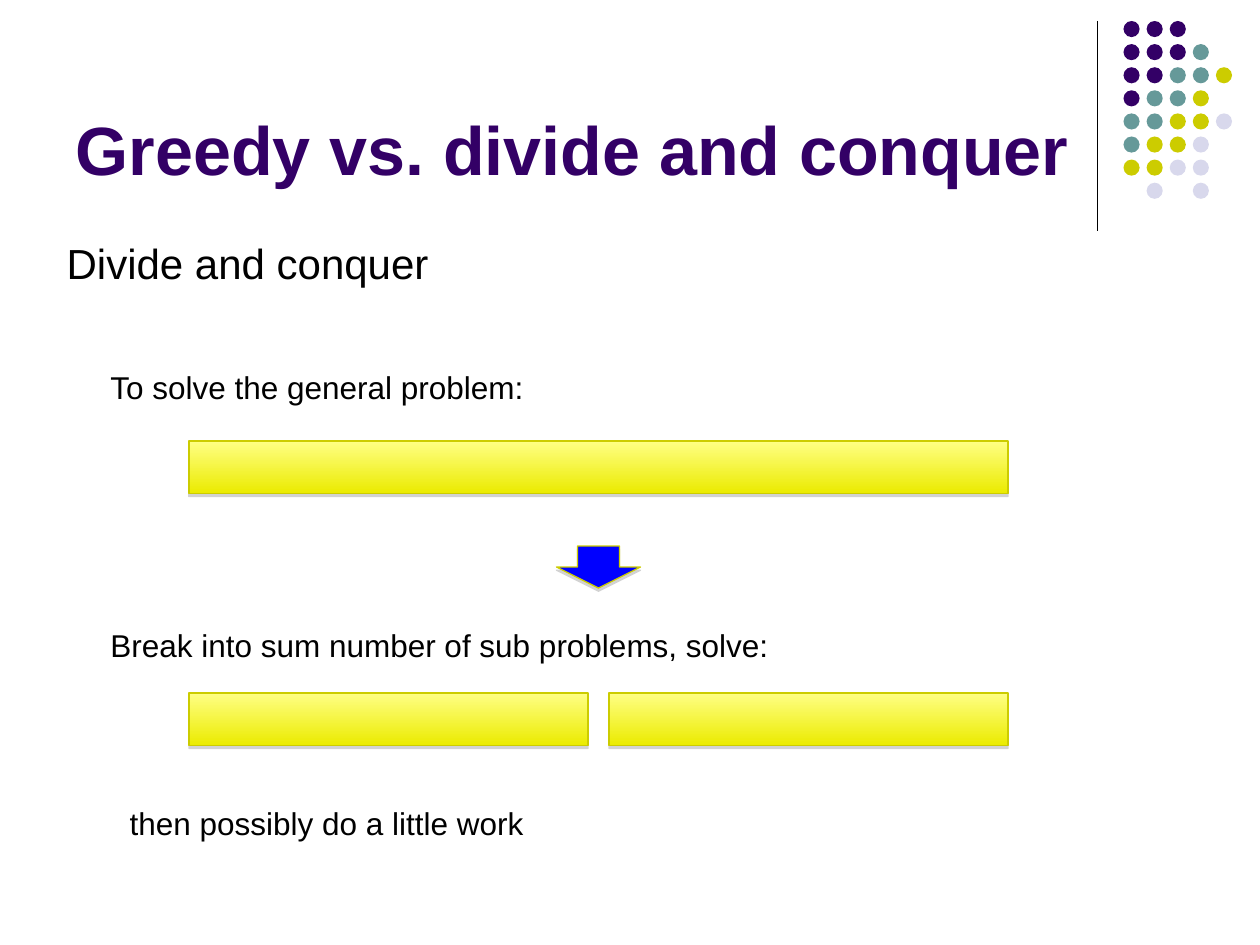
import pptx
import pptx.dml.color
import pptx.enum.shapes
import pptx.enum.text
import pptx.oxml
import pptx.oxml.ns
import pptx.util

Pt = pptx.util.Pt
SHAPE = pptx.enum.shapes.MSO_SHAPE
ANCHOR = pptx.enum.text.MSO_ANCHOR

COLORS = {
    "purple": "330066", "teal": "669999", "olive": "CCCC00", "lilac": "D8D8EC",
    "black": "000000", "blue": "0000FF", "bar_top": "FFFF85", "bar_bottom": "EBEB00",
    "shadow": "808080",
}
TITLE = "Greedy vs. divide and conquer"
# text, left, top, width, height, size
LABELS = [
    ("Divide and conquer", 31, 132, 221, 36, 24),
    ("To solve the general problem:", 56, 207, 253, 29, 18),
    ("Break into sum number of sub problems, solve:", 56, 354, 390, 29, 18),
    ("then possibly do a little work", 67, 456, 239, 29, 18),
]
# top and number of equal bars in each row
BAR_ROWS = [(252, 1), (396, 2)]
BAR_LEFT, BAR_SPAN, BAR_HEIGHT, BAR_GAP = 108, 468, 30, 12
DOT_ROWS = ["PPP", "PPPT", "PPTTO", "PTTO", "TTOOL", "TOOL", "OOLL", " L L"]
DOT_COLORS = {"P": "purple", "T": "teal", "O": "olive", "L": "lilac"}
DOT_LEFT, DOT_TOP, DOT_PITCH, DOT_SIZE = 642, 12, 13.2, 9.2


def rgb(name):
    return pptx.dml.color.RGBColor.from_string(COLORS[name])


def write(sp, text, size, color="black", bold=False, anchor=ANCHOR.TOP, wrap=False):
    tf = sp.text_frame
    tf.word_wrap = wrap
    tf.auto_size = pptx.enum.text.MSO_AUTO_SIZE.NONE
    tf.vertical_anchor = anchor
    p = tf.paragraphs[0]
    p.alignment = pptx.enum.text.PP_ALIGN.LEFT
    r = p.add_run()
    r.text = text
    r.font.name = "Arial"
    r.font.size = Pt(size)
    r.font.bold = bold
    r.font.color.rgb = rgb(color)


def add_shape(s, kind, left, top, width, height, fill=None):
    sp = s.shapes.add_shape(kind, Pt(left), Pt(top), Pt(width), Pt(height))
    sp.shadow.inherit = False
    sp.line.fill.background()
    if fill:
        sp.fill.solid()
        sp.fill.fore_color.rgb = rgb(fill)
    return sp


def add_edge(sp):
    """Give a shape the olive outline and the soft shadow below it."""
    sp.line.color.rgb = rgb("olive")
    sp.line.width = Pt(0.75)
    effects = sp.element.spPr.find(pptx.oxml.ns.qn("a:effectLst"))
    effects.append(pptx.oxml.parse_xml(
        f'<a:outerShdw {pptx.oxml.ns.nsdecls("a")} blurRad="0" dist="{Pt(1.8)}" '
        f'dir="5400000" rotWithShape="0"><a:srgbClr val="{COLORS["shadow"]}">'
        '<a:alpha val="35000"/></a:srgbClr></a:outerShdw>'))


def add_bar(s, left, top, width):
    sp = add_shape(s, SHAPE.RECTANGLE, left, top, width, BAR_HEIGHT)
    sp.fill.gradient()
    sp.fill.gradient_angle = 270
    for stop, name in zip(sp.fill.gradient_stops, ("bar_top", "bar_bottom")):
        stop.color.rgb = rgb(name)
    add_edge(sp)


def add_decoration(s):
    line = s.shapes.add_connector(
        pptx.enum.shapes.MSO_CONNECTOR.STRAIGHT, Pt(627), Pt(12), Pt(627), Pt(132))
    line.line.color.rgb = rgb("black")
    line.line.width = Pt(0.75)
    line.element.spPr.append(pptx.oxml.parse_xml(
        f'<a:effectLst {pptx.oxml.ns.nsdecls("a")}/>'))
    for row, codes in enumerate(DOT_ROWS):
        for col, code in enumerate(codes):
            if code in DOT_COLORS:
                add_shape(s, SHAPE.OVAL, DOT_LEFT + col * DOT_PITCH,
                          DOT_TOP + row * DOT_PITCH, DOT_SIZE, DOT_SIZE,
                          DOT_COLORS[code])


def main():
    prs = pptx.Presentation()
    prs.slide_width, prs.slide_height = Pt(720), Pt(540)
    s = prs.slides.add_slide(prs.slide_layouts[5])
    add_decoration(s)

    title = s.shapes.title
    title.left, title.top, title.width, title.height = Pt(36), Pt(9.5), Pt(594), Pt(102)
    write(title, TITLE, 39, color="purple", bold=True, anchor=ANCHOR.BOTTOM, wrap=True)

    for top, count in BAR_ROWS:
        width = (BAR_SPAN - (count - 1) * BAR_GAP) / count
        for i in range(count):
            add_bar(s, BAR_LEFT + i * (width + BAR_GAP), top, width)
    add_edge(add_shape(s, SHAPE.DOWN_ARROW, 318, 312, 48, 24, "blue"))

    for text, left, top, width, height, size in LABELS:
        box = s.shapes.add_textbox(Pt(left), Pt(top), Pt(width), Pt(height))
        write(box, text, size)
    prs.save("out.pptx")


if __name__ == "__main__":
    main()
